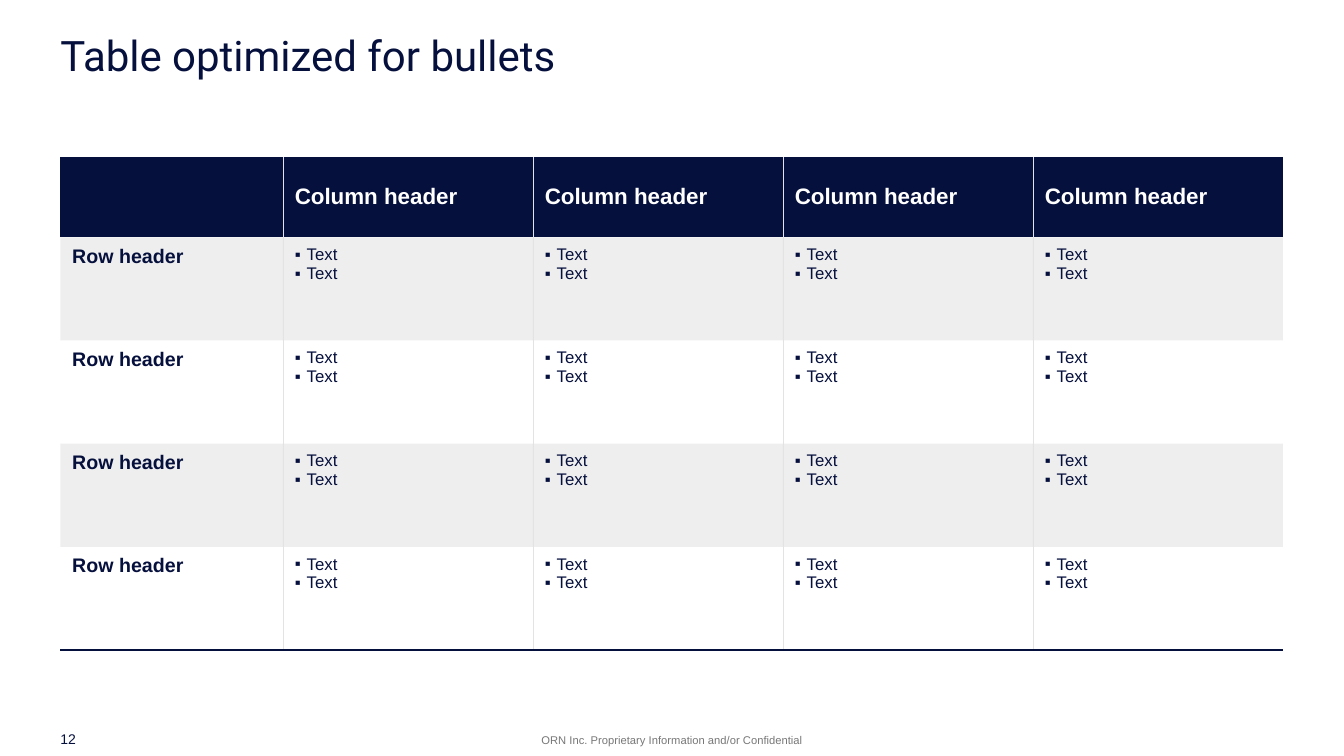
from lxml import etree
from pptx import Presentation
from pptx import util as u
from pptx.dml.color import RGBColor
from pptx.enum import text
from pptx.oxml import ns

NAVY = RGBColor(0x06, 0x10, 0x3D)
WHITE = RGBColor(0xFF, 0xFF, 0xFF)
BAND = RGBColor(0xAD, 0xAD, 0xAD)
RULE = RGBColor(0xE3, 0xE3, 0xE3)
FOOTER = RGBColor(0x77, 0x77, 0x77)
PLAIN_TABLE = "{2D5ABB26-0587-4C30-8999-92F81FD0307C}"

MARGIN, CONTENT_WIDTH = 1.52, 30.81
COLUMNS = [5.61] + [6.3] * 4
ROWS = [2.02] + [2.6] * 4


def element(parent, tag, **attributes):
    return etree.SubElement(parent, ns.qn(tag), attributes)


def add_bullet(para, color):
    indent = u.Cm(0.3)
    properties = para._p.get_or_add_pPr()
    properties.set("marL", str(indent))
    properties.set("indent", str(-indent))
    element(element(properties, "a:buClr"), "a:srgbClr", val=str(color))
    element(properties, "a:buFont", typeface="Arial")
    element(properties, "a:buChar", char="▪")


def write(frame, lines, size, color=NAVY, font="Arial", bold=False,
          align=None, bullet=False, spacing=None):
    """Fill a text frame with one paragraph per line."""
    for index, line in enumerate(lines):
        para = frame.add_paragraph() if index else frame.paragraphs[0]
        if bullet:
            add_bullet(para, color)
        if align is not None:
            para.alignment = align
        if spacing:
            para.line_spacing = spacing
        span = para.add_run()
        span.text = line
        span.font.size, span.font.name = u.Pt(size), font
        span.font.bold, span.font.color.rgb = bold, color


class SlideBuilder:
    def __init__(self, deck):
        self.page = deck.slides.add_slide(deck.slide_layouts[5])

    def set_frame(self, frame, anchor):
        frame.word_wrap = True
        frame.auto_size = text.MSO_AUTO_SIZE.NONE
        frame.vertical_anchor = anchor
        frame.margin_left = frame.margin_right = 0
        frame.margin_top = frame.margin_bottom = 0

    def title(self, line):
        box = self.page.shapes.title
        box.left, box.top = u.Cm(MARGIN), u.Cm(0.91)
        box.width, box.height = u.Cm(CONTENT_WIDTH), u.Cm(2.39)
        self.set_frame(box.text_frame, text.MSO_ANCHOR.TOP)
        write(box.text_frame, [line], 30, font="Roboto", spacing=0.89,
              align=text.PP_ALIGN.LEFT)

    def label(self, line, left, top, width, **style):
        box = self.page.shapes.add_textbox(
            u.Cm(left), u.Cm(top), u.Cm(width), u.Cm(0.41))
        self.set_frame(box.text_frame, text.MSO_ANCHOR.MIDDLE)
        write(box.text_frame, [line], **style)

    def table(self, top, rows):
        frame = self.page.shapes.add_table(
            len(ROWS), len(COLUMNS), u.Cm(MARGIN), u.Cm(top),
            u.Cm(sum(COLUMNS)), u.Cm(sum(ROWS)))
        table = frame.table
        table.horz_banding = False
        table._tbl.tblPr.find(ns.qn("a:tableStyleId")).text = PLAIN_TABLE
        for column, width in zip(table.columns, COLUMNS):
            column.width = u.Cm(width)
        for row, height in zip(table.rows, ROWS):
            row.height = u.Cm(height)
        for r, row in enumerate(rows):
            for c, lines in enumerate(row):
                self.cell(table.cell(r, c), r, c, lines)

    def cell(self, cell, row, column, lines):
        cell.margin_left = cell.margin_right = u.Cm(0.3)
        cell.margin_top = cell.margin_bottom = u.Cm(0.2)
        self.fill(cell, row)
        self.borders(cell, row, column)
        if row == 0:
            cell.vertical_anchor = text.MSO_ANCHOR.MIDDLE
            style = dict(size=16, color=WHITE, bold=True)
        elif column == 0:
            style = dict(size=14, bold=True)
        else:
            style = dict(size=12, bullet=True)
        write(cell.text_frame, lines, **style)

    def fill(self, cell, row):
        if row and row % 2 == 0:
            cell.fill.background()
            return
        cell.fill.solid()
        cell.fill.fore_color.rgb = BAND if row else NAVY
        if row:
            color = cell._tc.tcPr.find(".//" + ns.qn("a:srgbClr"))
            element(color, "a:alpha", val="20000")

    def borders(self, cell, row, column):
        sides = []
        if column > 0:
            sides.append(("a:lnL", RULE, 0.5))
        if column < len(COLUMNS) - 1:
            sides.append(("a:lnR", RULE, 0.5))
        if row == len(ROWS) - 1:
            sides.append(("a:lnB", NAVY, 1))
        properties = cell._tc.get_or_add_tcPr()
        for index, (tag, color, width) in enumerate(sides):
            line = etree.Element(ns.qn(tag), w=str(u.Pt(width)))
            element(element(line, "a:solidFill"), "a:srgbClr", val=str(color))
            properties.insert(index, line)


def main():
    deck = Presentation()
    deck.slide_width, deck.slide_height = u.Cm(33.87), u.Cm(19.05)
    slide = SlideBuilder(deck)

    # Title
    slide.title("Table optimized for bullets")

    # Table: one header row, then rows of bullet lists
    header = [[]] + [["Column header"]] * 4
    body = [["Row header"]] + [["Text", "Text"]] * 4
    slide.table(3.96, [header] + [body] * 4)

    # Footer
    slide.label("ORN Inc. Proprietary Information and/or Confidential",
                11.58, 18.44, 10.72, size=8, color=FOOTER,
                align=text.PP_ALIGN.CENTER)
    slide.label("12", MARGIN, 18.42, 1.4, size=10)

    deck.save("out.pptx")


if __name__ == "__main__":
    main()
